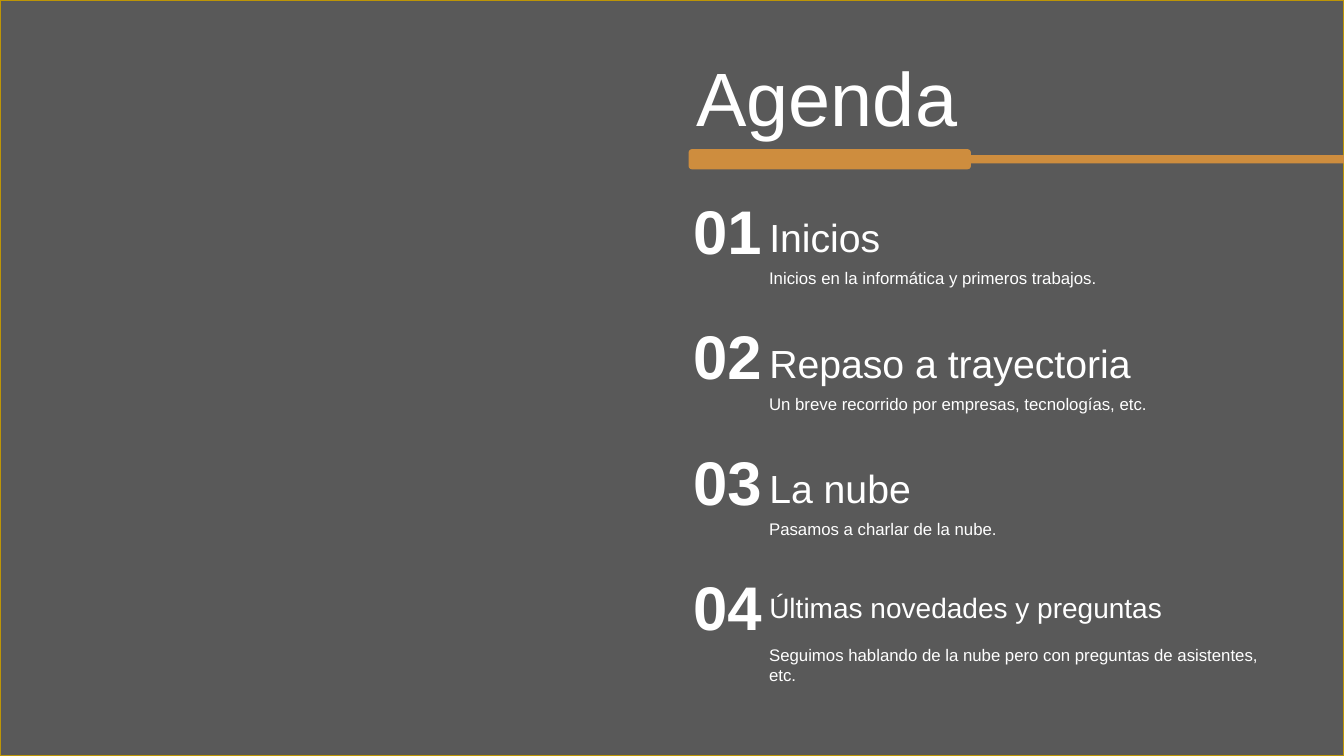
import pptx
import pptx.util
import pptx.dml.color
import pptx.enum.shapes
import pptx.enum.text
from lxml import etree

Inches = pptx.util.Inches
Pt = pptx.util.Pt
SHAPES = pptx.enum.shapes.MSO_SHAPE
ALIGN = pptx.enum.text.PP_ALIGN
ANCHOR = pptx.enum.text.MSO_ANCHOR

COLOURS = {"veil": "000000", "frame": "BD9506", "text": "FFFFFF", "accent": "CE8D3E"}
FONT = "Arial"
SLIDE_WIDTH, SLIDE_HEIGHT = 13.33, 7.5
ITEM_STEP = 1.245

# Heading, heading size, heading height, description, description height
TOPICS = [
    ("Inicios", 28, 0.57, "Inicios en la informática y primeros trabajos.", 0.3),
    ("Repaso a trayectoria", 28, 0.57,
     "Un breve recorrido por empresas, tecnologías, etc.", 0.3),
    ("La nube", 28, 0.57, "Pasamos a charlar de la nube.", 0.3),
    ("Últimas novedades y preguntas", 20, 0.44,
     "Seguimos hablando de la nube pero con preguntas de asistentes, etc.", 0.5),
]


def colour(name):
    return pptx.dml.color.RGBColor.from_string(COLOURS[name])


def add_block(page, kind, left, top, width, height, fill):
    block = page.shapes.add_shape(
        kind, Inches(left), Inches(top), Inches(width), Inches(height))
    block.shadow.inherit = False
    block.fill.solid()
    block.fill.fore_color.rgb = colour(fill)
    block.line.fill.background()
    return block


def add_text(page, left, top, width, height, text, size, inset=0.1,
             bold=False, align=ALIGN.LEFT, anchor=ANCHOR.TOP):
    box = page.shapes.add_textbox(
        Inches(left), Inches(top), Inches(width), Inches(height))
    frame = box.text_frame
    frame.word_wrap = True
    frame.auto_size = pptx.enum.text.MSO_AUTO_SIZE.SHAPE_TO_FIT_TEXT
    frame.vertical_anchor = anchor
    frame.margin_left = frame.margin_right = Inches(inset)
    frame.text = text
    para = frame.paragraphs[0]
    para.alignment = align
    span = para.runs[0]
    span.font.name = FONT
    span.font.size = Pt(size)
    span.font.bold = bold
    span.font.color.rgb = colour("text")


def add_backdrop(page, left, top, width, height):
    veil = add_block(page, SHAPES.RECTANGLE, left, top, width, height, "veil")
    veil.line.color.rgb = colour("frame")
    veil.line.width = Pt(1)
    # 65 % opaque black over the white page
    tint = veil.fill._xPr.find(".//" + pptx.oxml.ns.qn("a:srgbClr"))
    etree.SubElement(tint, pptx.oxml.ns.qn("a:alpha"), val="65000")


def add_title(page, left, top, width):
    add_text(page, left, top, 5.46, 1.01, "Agenda", 54, anchor=ANCHOR.MIDDLE)
    # Thin rule running to the slide edge, with a thick tab at its start
    add_block(page, SHAPES.RECTANGLE, left + 1.62, top + 1.09,
              width - 1.62, 0.08, "accent")
    add_block(page, SHAPES.ROUNDED_RECTANGLE, left + 0.02, top + 1.03,
              2.8, 0.2, "accent")


def add_topic(page, left, top, number, topic):
    heading, size, heading_height, description, description_height = topic
    add_text(page, left + 0.85, top + 0.75, 5.1, description_height, description, 12)
    add_text(page, left + 0.83, top + 0.21, 5.1, heading_height, heading, size, inset=0.12)
    add_text(page, left, top, 1.07, 0.85, f"{number:02d}", 44, inset=0.12,
             bold=True, align=ALIGN.CENTER)


def build_agenda(deck):
    page = deck.slides.add_slide(deck.slide_layouts[6])
    add_backdrop(page, 0, 0, SLIDE_WIDTH, SLIDE_HEIGHT)
    for index, topic in enumerate(TOPICS):
        add_topic(page, 6.68, 1.86 + index * ITEM_STEP, index + 1, topic)
    add_title(page, 6.81, 0.45, SLIDE_WIDTH - 6.81)


def main():
    deck = pptx.Presentation()
    deck.slide_width = Inches(SLIDE_WIDTH)
    deck.slide_height = Inches(SLIDE_HEIGHT)
    build_agenda(deck)
    deck.save("out.pptx")


if __name__ == "__main__":
    main()
